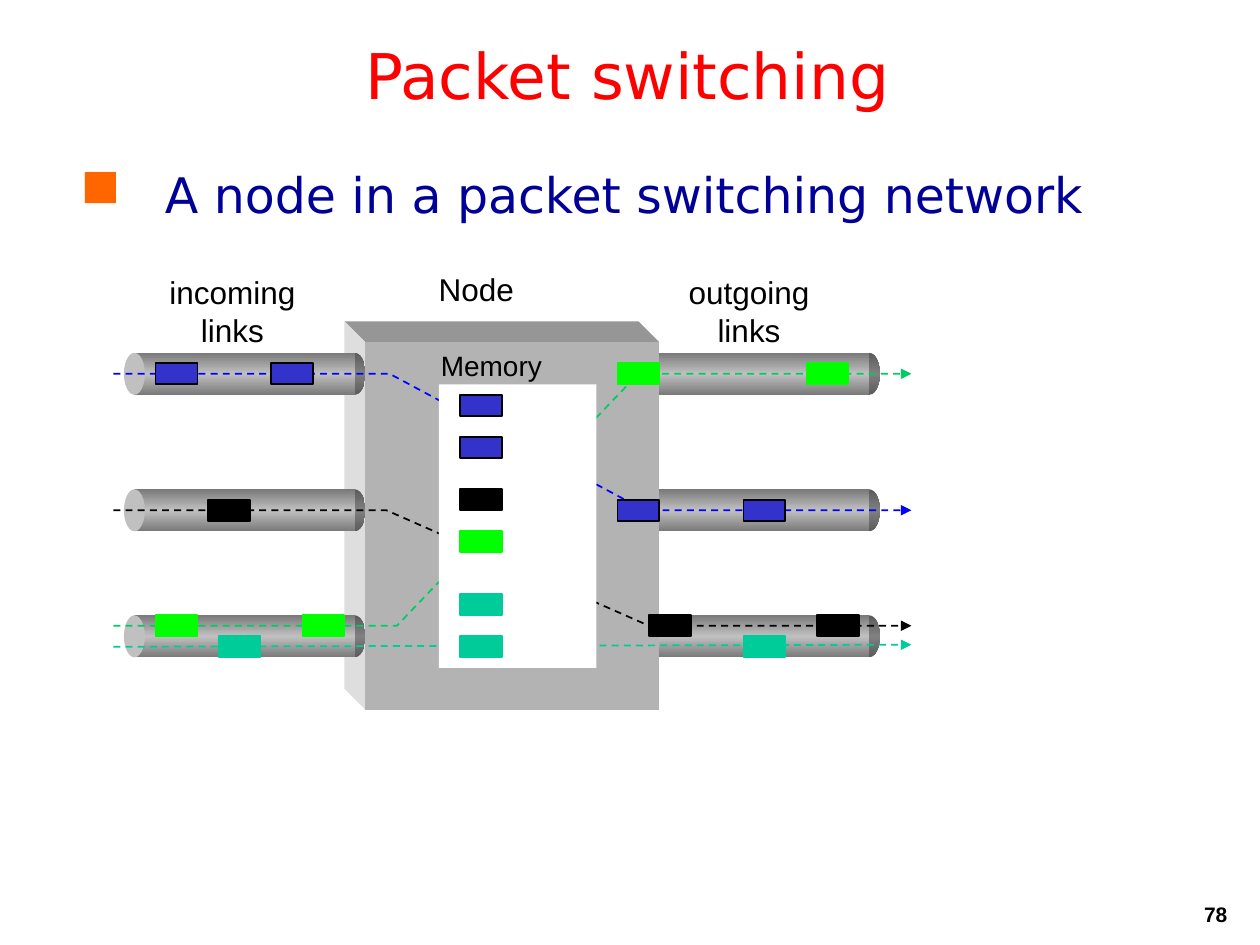
from copy import deepcopy
from lxml.etree import SubElement
from pptx import Presentation
from pptx.dml.color import RGBColor
from pptx.enum.dml import MSO_LINE
from pptx.enum.shapes import MSO_CONNECTOR, MSO_SHAPE
from pptx.enum.text import MSO_ANCHOR, PP_ALIGN
from pptx.oxml.ns import qn
from pptx.util import Inches, Pt

BLACK, WHITE = RGBColor(0, 0, 0), RGBColor(255, 255, 255)
RED, NAVY = RGBColor(255, 0, 0), RGBColor(0, 0, 0x99)
BLUE, LIME = RGBColor(0x33, 0x33, 0xCC), RGBColor(0, 255, 0)
TEAL, GREEN = RGBColor(0, 0xCC, 0x99), RGBColor(0, 0xCC, 0x66)
ROUTE_BLUE = RGBColor(0, 0, 255)
SILVER, PIPE_EDGE = RGBColor(0xC0, 0xC0, 0xC0), RGBColor(0x7A, 0x7A, 0x7A)
CAP_MID, CAP_EDGE = RGBColor(0x80, 0x80, 0x80), RGBColor(0x5B, 0x5B, 0x5B)
FRONT, TOP = RGBColor(0xB3, 0xB3, 0xB3), RGBColor(0x96, 0x96, 0x96)
SIDE = RGBColor(0xDE, 0xDE, 0xDE)

# Diagram grid: cells of 1/12 inch, counted from the top left of the diagram
LEFT, TOP_EDGE, CELL = 0.9, 2.55, 1 / 12

# Text: words, box in inches, format, alignment, inset, anchor
TITLE_FONT, LABEL_FONT = "DejaVu Sans", "Arial"
HEADING = dict(name=TITLE_FONT, size=Pt(36), color=RED)
BODY = dict(name=TITLE_FONT, size=Pt(28), color=NAVY)
LABEL = dict(name=LABEL_FONT, size=Pt(18), color=BLACK)
SMALL = dict(LABEL, size=Pt(16))
NUMBER = dict(LABEL, size=Pt(12), bold=True)
MID, RIGHT = PP_ALIGN.CENTER, PP_ALIGN.RIGHT
HEADERS = [
    ("78", (7.76, 7.11, 2.08, 0.2), NUMBER, RIGHT, True, MSO_ANCHOR.TOP),
    ("Packet switching", (0.17, 0.21, 9.62, 0.76), HEADING, MID, True, MSO_ANCHOR.MIDDLE),
]
BULLET = ("A node in a packet switching network", (0.54, 1.26, 8.49, 0.5), BODY,
          PP_ALIGN.LEFT, True, MSO_ANCHOR.TOP)
LABELS = [
    ("incoming\vlinks", (1.06, 2.17, 1.57, 0.6), LABEL, MID, False, MSO_ANCHOR.TOP),
    ("outgoing\vlinks", (5.18, 2.17, 1.53, 0.6), LABEL, MID, False, MSO_ANCHOR.TOP),
    ("Node", (3.48, 2.14, 0.6, 0.3), LABEL, MID, False, MSO_ANCHOR.TOP),
    ("Memory", (3.4, 2.72, 1, 0.36), SMALL, MID, True, MSO_ANCHOR.TOP),
]

# Diagram parts as (column, row)
PIPE_ROWS = (3, 16, 28)
IN_COL, OUT_COL = 1, 50
NODE_FACES = [
    (TOP, [(22, 0), (50, 0), (52, 2), (24, 2)]),
    (SIDE, [(22, 0), (24, 2), (24, 37), (22, 35)]),
    (FRONT, [(24, 2), (52, 2), (52, 37), (24, 37)]),
]
MEMORY = (31, 6, 15, 27)
STRAIGHT_ROUTE = (TEAL, [(0, 31), (76, 30.8)])
ROUTES = [
    (GREEN, [(0, 29), (27, 29), (50, 5), (76, 5)]),
    (ROUTE_BLUE, [(0, 5), (26.3, 5), (50.6, 18), (76, 18)]),
    (BLACK, [(0, 18), (26, 18), (51, 29), (76, 29)]),
]
PACKETS = [
    (BLUE, BLACK, [(4, 4), (15, 4), (33, 7), (33, 11), (48, 17), (60, 17)]),
    (BLACK, BLACK, [(9, 17), (33, 16), (51, 28), (67, 28)]),
    (LIME, LIME, [(4, 28), (18, 28), (33, 20), (48, 4), (66, 4)]),
    (TEAL, TEAL, [(10, 30), (33, 30), (33, 26), (60, 30)]),
]

prs = Presentation()
prs.slide_width, prs.slide_height = Inches(10), Inches(7.5)
s = prs.slides.add_slide(prs.slide_layouts[6])


def place(col, row):
    return Inches(LEFT + col * CELL), Inches(TOP_EDGE + row * CELL)


def add_text(words, box, fmt, align, inset, anchor):
    tf = s.shapes.add_textbox(*map(Inches, box)).text_frame
    tf.word_wrap = True
    tf.vertical_anchor = anchor
    if not inset:
        tf.margin_left = tf.margin_right = tf.margin_top = tf.margin_bottom = 0
    p = tf.paragraphs[0]
    p.text, p.alignment = words, align
    for r in p.runs:
        for key, value in fmt.items():
            if key == "color":
                r.font.color.rgb = value
            else:
                setattr(r.font, key, value)
    return p


def add_part(parent, kind, col, row, cols, rows, fill, line=None):
    size = Inches(cols * CELL), Inches(rows * CELL)
    sp = parent.shapes.add_shape(kind, *place(col, row), *size)
    sp.shadow.inherit = False
    if isinstance(fill, tuple) and not isinstance(fill, RGBColor):
        edge, middle = fill
        sp.fill.gradient()
        sp.fill.gradient_angle = 90
        stops = sp._element.spPr.find(".//" + qn("a:gsLst"))
        stops.append(deepcopy(stops[0]))
        for stop, pos, color in zip(sp.fill.gradient_stops, (0, 0.5, 1), (edge, middle, edge)):
            stop.position, stop.color.rgb = pos, color
    else:
        sp.fill.solid()
        sp.fill.fore_color.rgb = fill
    if line is None:
        sp.line.fill.background()
    else:
        sp.line.color.rgb, sp.line.width = line, Pt(1)


def add_pipes(col):
    for row in PIPE_ROWS:
        group = s.shapes.add_group_shape()
        add_part(group, MSO_SHAPE.OVAL, col + 21, row, 2, 4, (CAP_EDGE, CAP_MID))
        add_part(group, MSO_SHAPE.RECTANGLE, col + 1, row, 21, 4, (PIPE_EDGE, SILVER))
        add_part(group, MSO_SHAPE.OVAL, col, row, 2, 4, SILVER)


def add_outline(points, close):
    start, *rest = [place(*pt) for pt in points]
    builder = s.shapes.build_freeform(*start)
    builder.add_line_segments(rest, close=close)
    sp = builder.convert_to_shape()
    sp.shadow.inherit = False
    return sp


def style_route(sp, color):
    sp.line.color.rgb, sp.line.width = color, Pt(1)
    sp.line.dash_style = MSO_LINE.DASH
    SubElement(sp.line._get_or_add_ln(), qn("a:tailEnd"), type="triangle")


# Headers and bullet line
for header in HEADERS:
    add_text(*header)
pPr = add_text(*BULLET)._p.get_or_add_pPr()
pPr.set("marL", str(Inches(0.67)))
pPr.set("indent", str(-Inches(0.67)))
SubElement(SubElement(pPr, qn("a:buClr")), qn("a:srgbClr"), val="FF6600")
SubElement(pPr, qn("a:buSzPct"), val="110000")
SubElement(pPr, qn("a:buChar"), char="■")

# Node between outgoing and incoming pipes
add_pipes(OUT_COL)
for color, points in NODE_FACES:
    face = add_outline(points, True)
    face.fill.solid()
    face.fill.fore_color.rgb = color
    face.line.fill.background()
add_pipes(IN_COL)

# Routes through the node
color, (begin, end) = STRAIGHT_ROUTE
line = s.shapes.add_connector(MSO_CONNECTOR.STRAIGHT, *place(*begin), *place(*end))
style_route(line, color)
SubElement(line._element.spPr, qn("a:effectLst"))
for color, points in ROUTES:
    route = add_outline(points, False)
    route.fill.background()
    style_route(route, color)

# Memory and packets
add_part(s, MSO_SHAPE.RECTANGLE, *MEMORY, WHITE)
for fill, edge, spots in PACKETS:
    for col, row in spots:
        add_part(s, MSO_SHAPE.RECTANGLE, col, row, 4, 2, fill, edge)

# Labels
for label in LABELS:
    add_text(*label)

prs.save("out.pptx")
